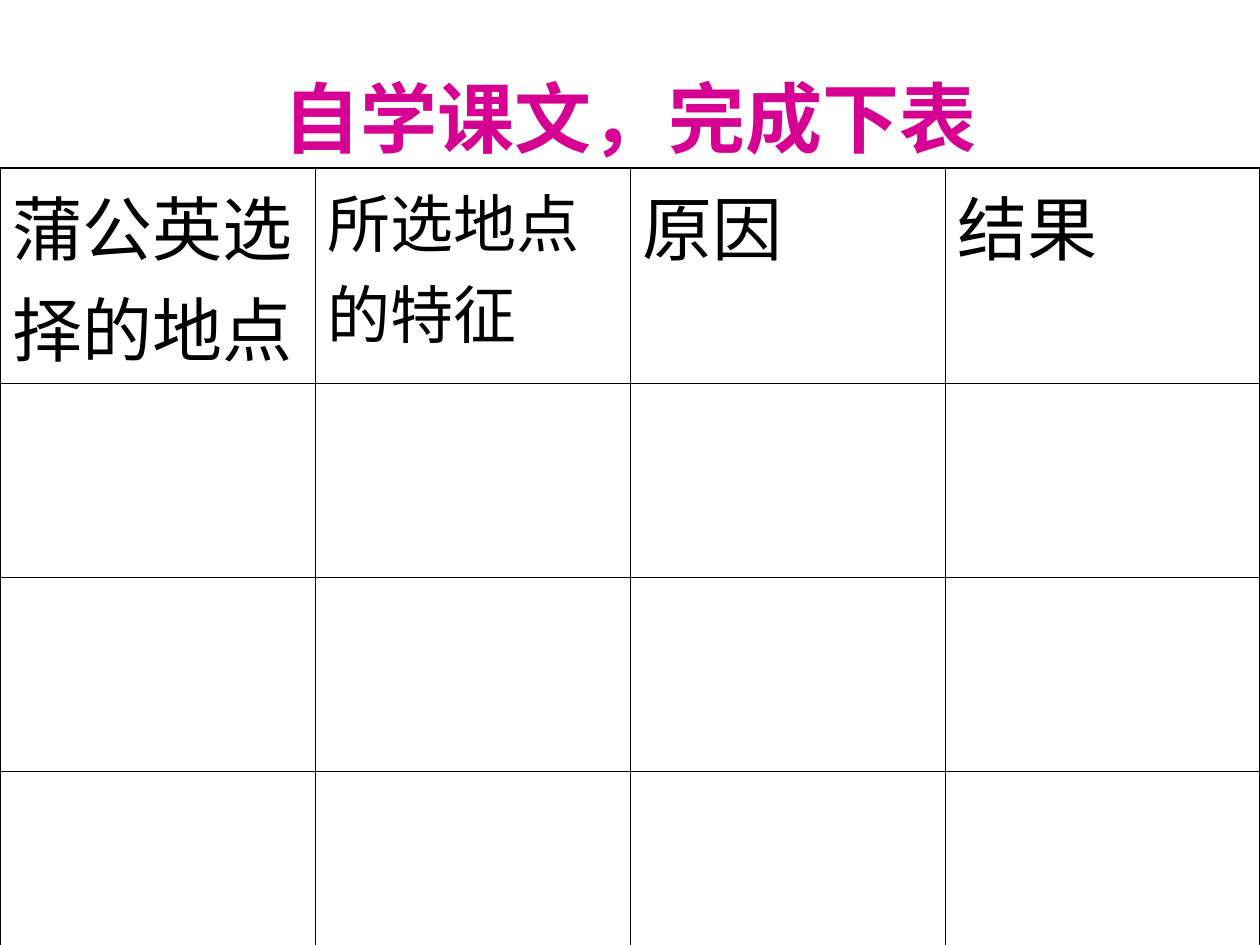
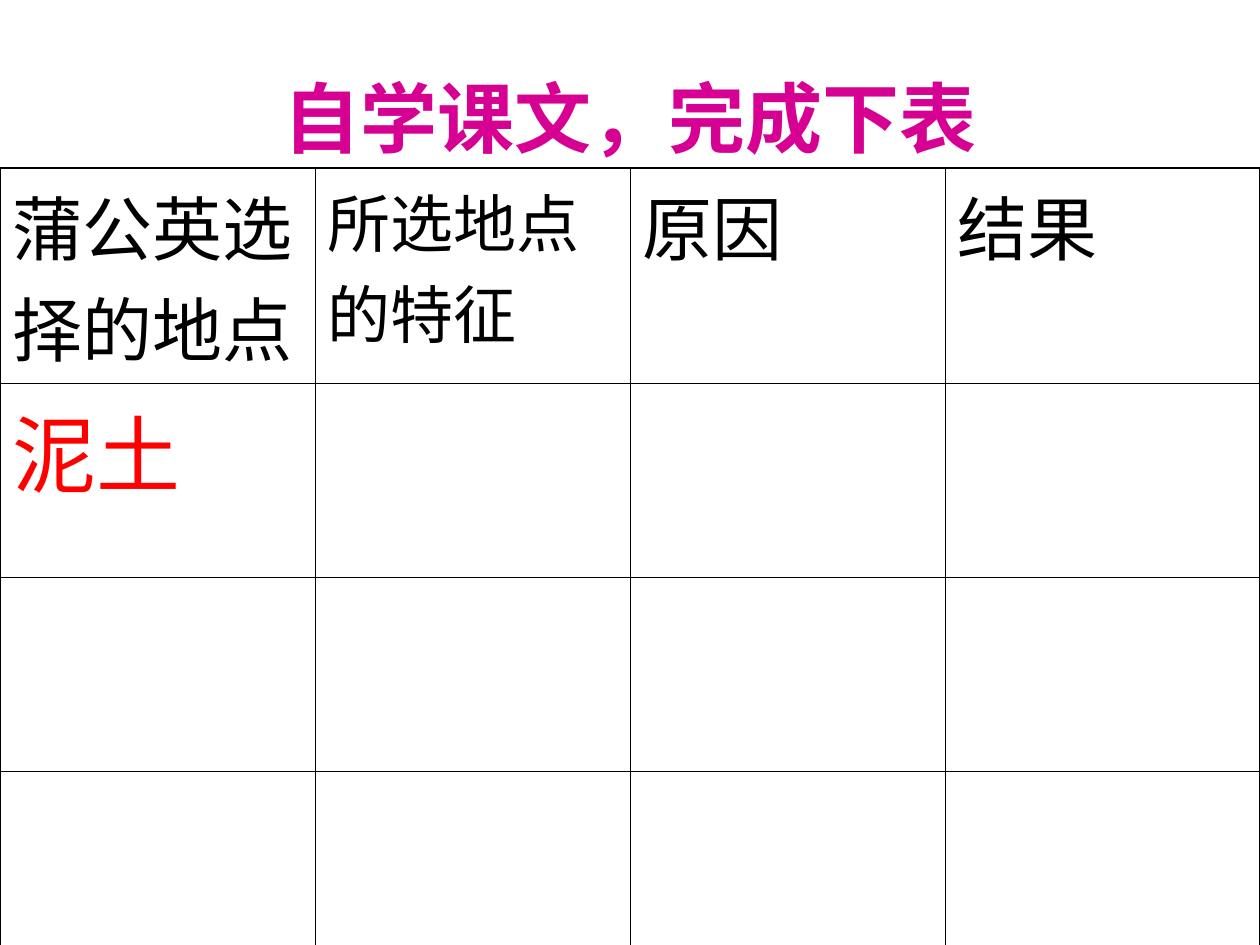
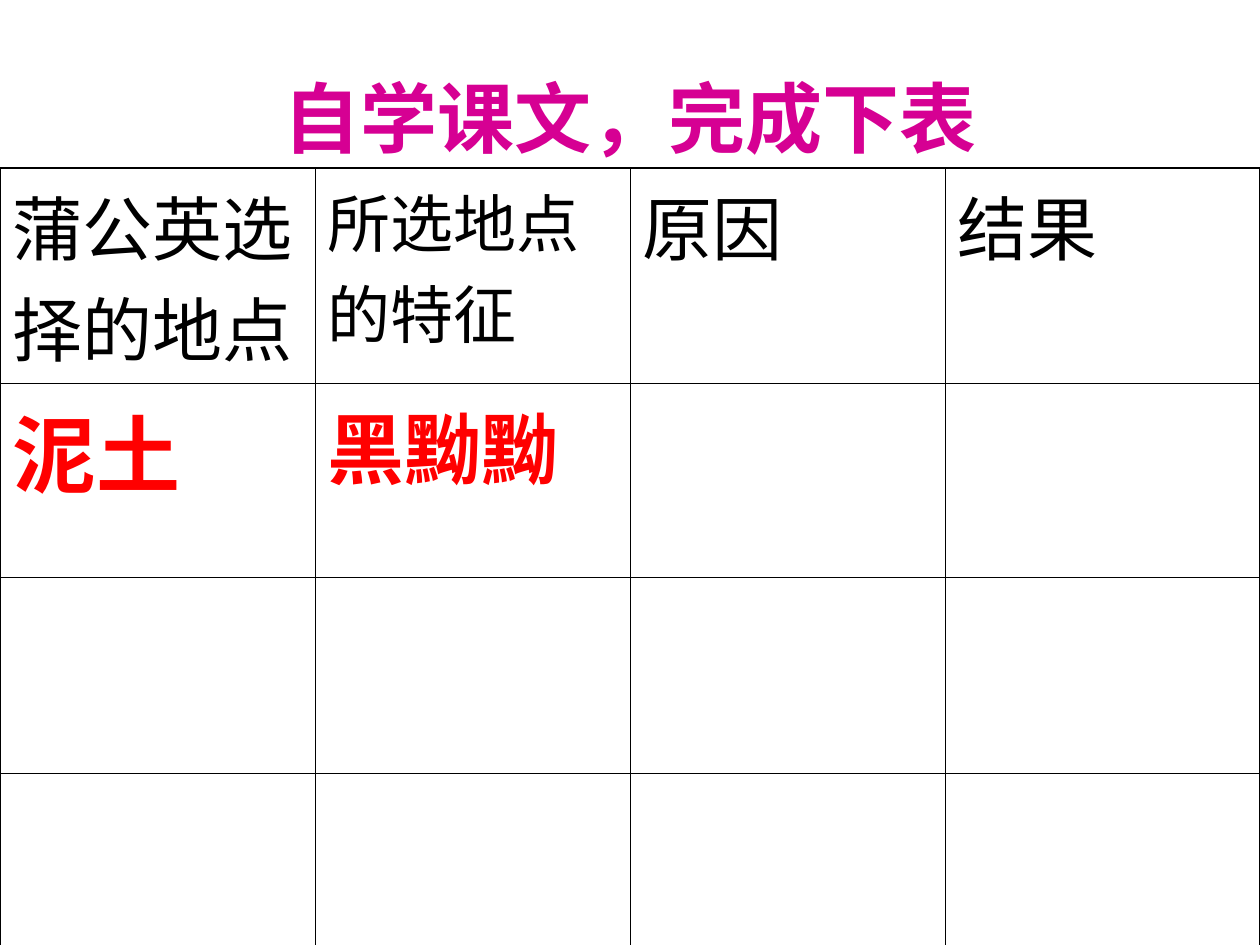
"""Build three slides of a reading worksheet whose table fills in step by step."""
from dataclasses import dataclass

import lxml.etree
import pptx
import pptx.dml.color
import pptx.enum.text
import pptx.oxml.ns
import pptx.slide
import pptx.table
import pptx.util

Cm = pptx.util.Cm
Pt = pptx.util.Pt
qn = pptx.oxml.ns.qn

COLORS = {"title": "D60093", "text": "000000", "answer": "FF0000", "border": "000000"}
FONT = "Arial"
TITLE = "自学课文，完成下表"
N_ROWS, N_COLS = 4, 4
WIDTH, HEIGHT = Cm(25.4), Cm(19.05)
TABLE_TOP = Cm(3.39)
ROW_HEIGHT, TALL_ROW_HEIGHT = Cm(3.91), Cm(3.96)
OUTER, INNER = Pt(1.08), Pt(0.45)


@dataclass(frozen=True)
class Entry:
    text: str
    size: float
    color: str = "text"
    bold: bool = False


@dataclass(frozen=True)
class Worksheet:
    answers: tuple[Entry, ...] = ()
    third_row: int = ROW_HEIGHT


HEADERS = (
    Entry("蒲公英选择的地点", 40),
    Entry("所选地点的特征", 36),
    Entry("原因", 40),
    Entry("结果", 40),
)
WORKSHEETS = (
    Worksheet(),
    Worksheet((Entry("泥土", 48, "answer"),)),
    Worksheet(
        (Entry("泥土", 48, "answer", True), Entry("黑黝黝", 44, "answer", True)),
        TALL_ROW_HEIGHT,
    ),
)


def write(tf, entry: Entry) -> None:
    p = tf.paragraphs[0]
    r = p.add_run()
    r.text = entry.text
    r.font.name = FONT
    r.font.size = Pt(entry.size)
    r.font.bold = entry.bold
    r.font.color.rgb = pptx.dml.color.RGBColor.from_string(COLORS[entry.color])


def add_title(slide: pptx.slide.Slide) -> None:
    sp = slide.shapes.title
    sp.left, sp.top, sp.width, sp.height = Cm(1.27), Cm(0.76), Cm(22.86), Cm(3.18)
    tf = sp.text_frame
    tf.auto_size = pptx.enum.text.MSO_AUTO_SIZE.NONE
    tf.vertical_anchor = pptx.enum.text.MSO_ANCHOR.MIDDLE
    write(tf, Entry(TITLE, 44, "title", True))
    tf.paragraphs[0].alignment = pptx.enum.text.PP_ALIGN.CENTER


def style_cell(cell: pptx.table._Cell, row: int, col: int) -> None:
    on_edge = {
        "a:lnL": col == 0,
        "a:lnR": col == N_COLS - 1,
        "a:lnT": row == 0,
        "a:lnB": row == N_ROWS - 1,
    }
    props = cell._tc.get_or_add_tcPr()
    for tag, outer in on_edge.items():
        ln = lxml.etree.SubElement(props, qn(tag), w=str(int(OUTER if outer else INNER)))
        fill = lxml.etree.SubElement(ln, qn("a:solidFill"))
        lxml.etree.SubElement(fill, qn("a:srgbClr"), val=COLORS["border"])
    cell.fill.background()


def add_worksheet(slide: pptx.slide.Slide, sheet: Worksheet) -> None:
    frame = slide.shapes.add_table(N_ROWS, N_COLS, 0, TABLE_TOP, WIDTH, ROW_HEIGHT * N_ROWS)
    table = frame.table
    table.first_row = table.horz_banding = False
    for row in table.rows:
        row.height = ROW_HEIGHT
    table.rows[2].height = sheet.third_row
    for row in range(N_ROWS):
        for col in range(N_COLS):
            style_cell(table.cell(row, col), row, col)
    for row, entries in enumerate((HEADERS, sheet.answers)):
        for col, entry in enumerate(entries):
            write(table.cell(row, col).text_frame, entry)


def main() -> None:
    prs = pptx.Presentation()
    prs.slide_width, prs.slide_height = WIDTH, HEIGHT
    for sheet in WORKSHEETS:
        slide = prs.slides.add_slide(prs.slide_layouts.get_by_name("Title Only"))
        add_title(slide)
        add_worksheet(slide, sheet)
    prs.save("out.pptx")


if __name__ == "__main__":
    main()
